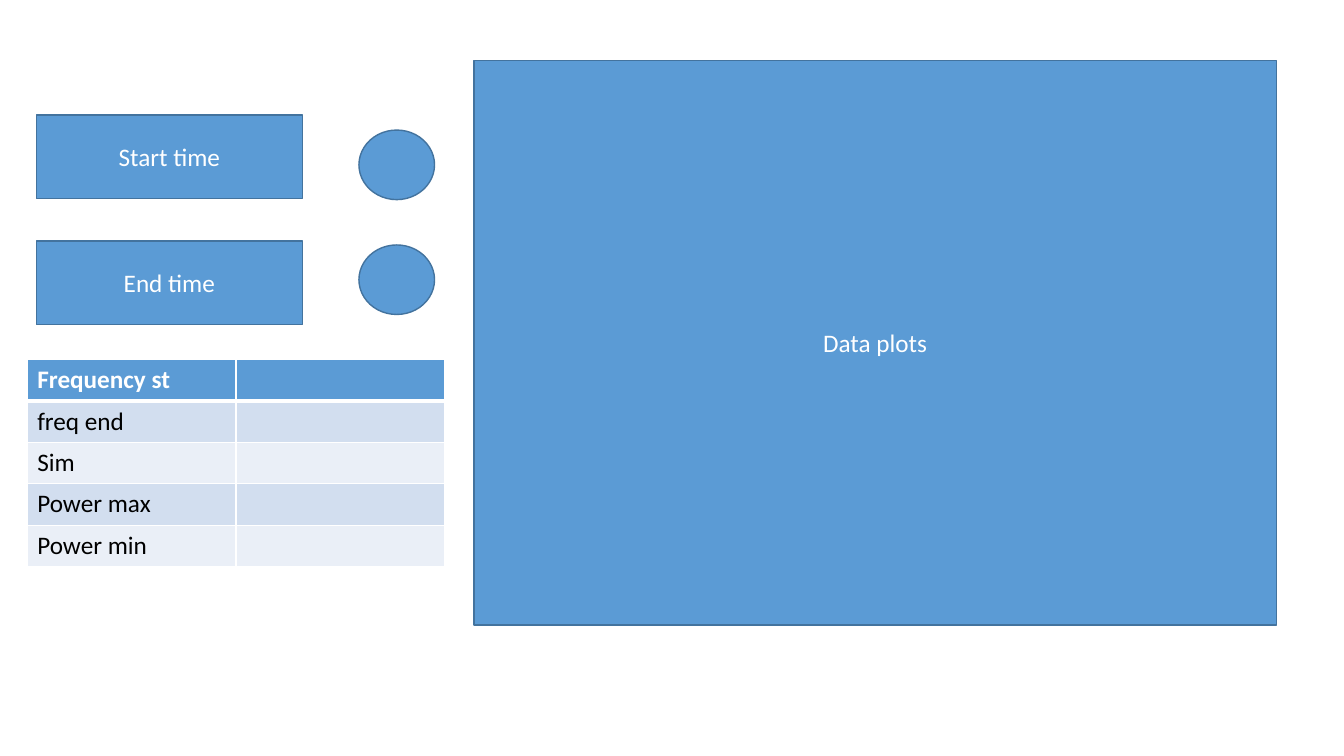
from lxml import etree
from pptx import Presentation
from pptx.dml.color import RGBColor
from pptx.enum.shapes import MSO_SHAPE
from pptx.enum.text import MSO_ANCHOR, PP_ALIGN
from pptx.oxml.ns import qn
from pptx.util import Inches, Pt

RECTANGLE = MSO_SHAPE.RECTANGLE
OVAL = MSO_SHAPE.OVAL
MIDDLE = MSO_ANCHOR.MIDDLE
CENTER = PP_ALIGN.CENTER

COLORS = {
    "blue": "5B9BD5",
    "outline": "43739E",
    "white": "FFFFFF",
    "black": "000000",
    "band_dark": "D2DEEF",
    "band_light": "EAEFF7",
}


class SlideBuilder:
    """Draw styled elements on the current slide."""

    def __init__(self, slide, font="Calibri", size=18):
        self.slide = slide
        self.font = font
        self.size = size

    def color(self, name):
        return RGBColor.from_string(COLORS[name])

    def add_run(self, paragraph, text, color, bold=False):
        run = paragraph.add_run()
        run.text = text
        run.font.name = self.font
        run.font.size = Pt(self.size)
        run.font.bold = bold
        run.font.color.rgb = self.color(color)

    def add_box(self, kind, left, top, width, height, text=""):
        shape = self.slide.shapes.add_shape(
            kind, Inches(left), Inches(top), Inches(width), Inches(height))
        shape.shadow.inherit = False
        shape.fill.solid()
        shape.fill.fore_color.rgb = self.color("blue")
        shape.line.color.rgb = self.color("outline")
        shape.line.width = Pt(1)
        if text:
            shape.text_frame.vertical_anchor = MIDDLE
            paragraph = shape.text_frame.paragraphs[0]
            paragraph.alignment = CENTER
            self.add_run(paragraph, text, "white")

    def add_border(self, cell, side, points):
        properties = cell._tc.get_or_add_tcPr()
        line = etree.SubElement(properties, qn(f"a:ln{side}"), w=str(Pt(points)))
        fill = etree.SubElement(line, qn("a:solidFill"))
        etree.SubElement(fill, qn("a:srgbClr"), val=COLORS["white"])

    def add_label_table(self, labels, left, top, column_width, row_height):
        table = self.slide.shapes.add_table(
            len(labels), 2, Inches(left), Inches(top),
            Inches(2 * column_width), Inches(len(labels) * row_height)).table
        for column in table.columns:
            column.width = Inches(column_width)
        for index, label in enumerate(labels):
            header = index == 0
            band = "band_dark" if index % 2 else "band_light"
            for cell in table.rows[index].cells:
                widths = {"L": 1, "R": 1, "T": 3 if index == 1 else 1, "B": 3 if header else 1}
                for side, points in widths.items():
                    self.add_border(cell, side, points)
                cell.fill.solid()
                cell.fill.fore_color.rgb = self.color("blue" if header else band)
            paragraph = table.cell(index, 0).text_frame.paragraphs[0]
            self.add_run(paragraph, label, "white" if header else "black", header)


presentation = Presentation()
presentation.slide_width = Inches(13.33)
presentation.slide_height = Inches(7.5)
builder = SlideBuilder(presentation.slides.add_slide(presentation.slide_layouts[6]))

builder.add_box(RECTANGLE, 4.7, 0.6, 7.96, 5.6, "Data plots")
for time_label, box_top in (("Start time", 1.14), ("End time", 2.39)):
    builder.add_box(RECTANGLE, 0.36, box_top, 2.64, 0.83, time_label)
for button_top in (1.29, 2.43):
    builder.add_box(OVAL, 3.56, button_top, 0.75, 0.69)
builder.add_label_table(
    ["Frequency st", "freq end", "Sim", "Power max", "Power min"],
    left=0.27, top=3.57, column_width=2.07, row_height=0.41)

presentation.save("out.pptx")
